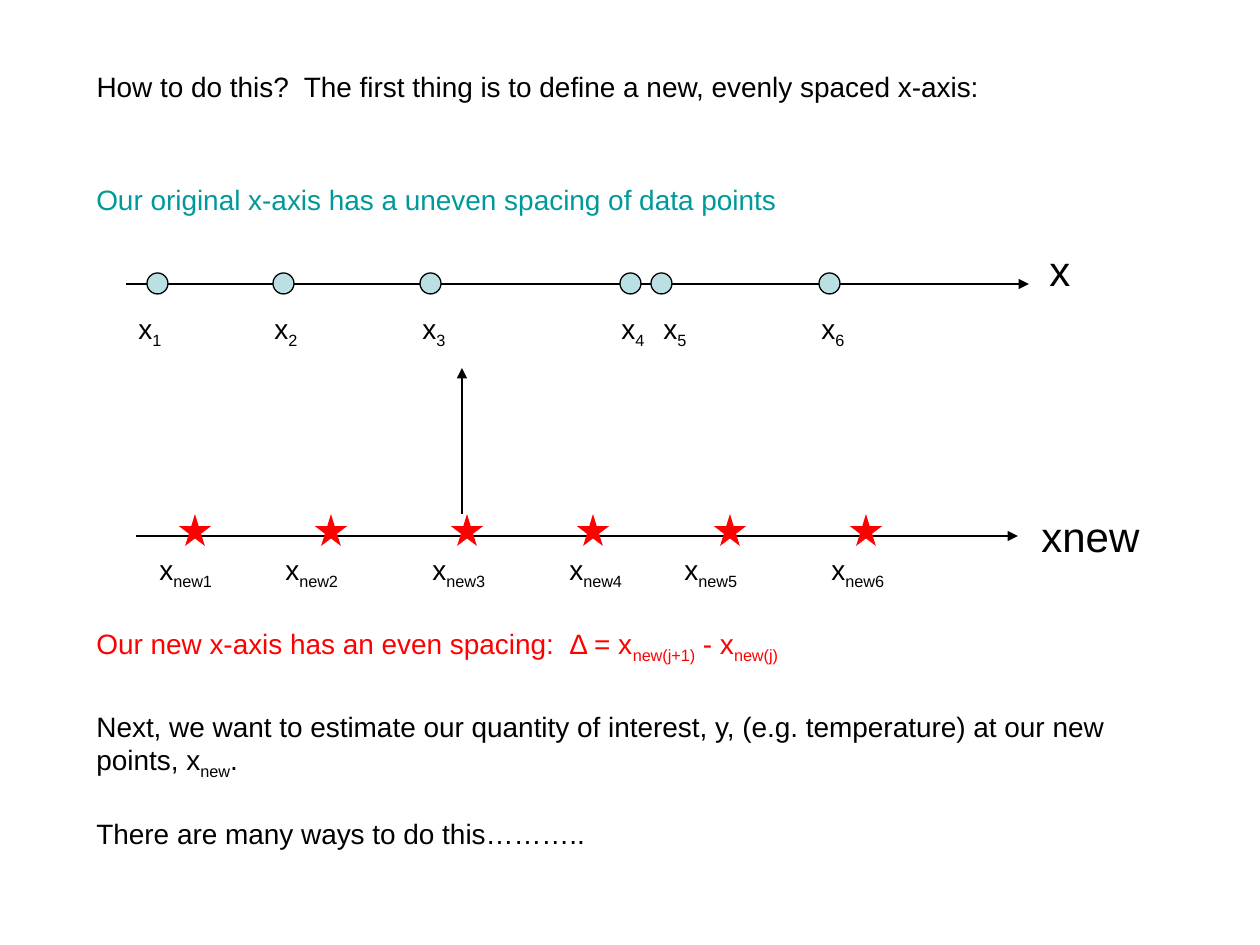
from pptx import Presentation
from pptx.dml.color import RGBColor
from pptx.enum.shapes import MSO_CONNECTOR, MSO_SHAPE
from pptx.enum.text import MSO_ANCHOR, MSO_AUTO_SIZE, PP_ALIGN
from pptx.oxml.ns import qn
from pptx.util import Emu, Pt
from lxml import etree

LINE = MSO_CONNECTOR.STRAIGHT
DOT, STAR = MSO_SHAPE.OVAL, MSO_SHAPE.STAR_5_POINT
TOP, LEFT, FIT = MSO_ANCHOR.TOP, PP_ALIGN.LEFT, MSO_AUTO_SIZE.SHAPE_TO_FIT_TEXT
SCALE = 914400 / 126
BLACK, RED, TEAL, PALE = "000000", "FF0000", "009999", "BBE0E3"

# Content: text between bars is subscript; boxes are left, top, width, height
TITLE = "How to do this?  The first thing is to define a new, evenly spaced x-axis:"
TITLE_BOX = (84, 63, 1103, 47)
NOTES = [  # paragraphs, box, size, colour, wrap
    (["Our original x-axis has a uneven spacing of data points"],
     (84, 176, 707, 47), 16, TEAL, False),
    (["x"], (1037, 238, 47, 63), 24, BLACK, False),
    (["xnew"], (1029, 504, 123, 63), 24, BLACK, False),
    (["Our new x-axis has an even spacing:  Δ = x|new(j+1)| - x|new(j)|"],
     (84, 620, 1050, 47), 16, RED, True),
    (["Next, we want to estimate our quantity of interest, y, (e.g. temperature) "
      "at our new points, x|new|.",
      "There are many ways to do this……….."],
     (84, 703, 1050, 147), 16, BLACK, True),
]
ARROWS = [(126, 284, 1029, 284), (136, 536, 1018, 536), (462, 514, 462, 368)]
ROWS = [
    dict(kind=DOT, size=21, top=273, fill=PALE, edge=BLACK,
         marks=[147, 273, 420, 620, 651, 819],
         name="x|{}|", tags=[126, 262, 410, 609, 651, 809], low=305, wide=50),
    dict(kind=STAR, size=32, top=514, fill=RED, edge=None,
         marks=[179, 315, 451, 577, 714, 850],
         name="x|new{}|", tags=[147, 273, 420, 557, 672, 819], low=546, wide=85),
]


def px(*nums):
    return [Emu(round(n * SCALE)) for n in nums]


def color(code):
    return RGBColor.from_string(code)


def write(frame, paras, size, code, wrap):
    frame.word_wrap = wrap
    frame.auto_size = FIT
    frame.vertical_anchor = TOP
    for i, text in enumerate(paras):
        para = frame.add_paragraph() if i else frame.paragraphs[0]
        para.alignment = LEFT
        if i:
            para.space_before = Pt(20)
        font = para.font
        font.name, font.size = "Arial", Pt(size)
        font.color.rgb = color(code)
        for j, part in enumerate(text.split("|")):
            if part:
                run = para.add_run()
                run.text = part
                if j % 2:
                    run.font._element.set("baseline", "-25000")


def note(paras, box, size, code, wrap):
    write(slide.shapes.add_textbox(*px(*box)).text_frame, paras, size, code, wrap)


def arrow(ends):
    line = slide.shapes.add_connector(LINE, *px(*ends))
    line.line.color.rgb = color(BLACK)
    line.line.width = Pt(0.75)
    props = line._element.spPr
    etree.SubElement(props.find(qn("a:ln")), qn("a:tailEnd"), type="triangle")
    etree.SubElement(props, qn("a:effectLst"))


def mark(kind, left, top, size, fill, edge):
    shape = slide.shapes.add_shape(kind, *px(left, top, size, size))
    shape.shadow.inherit = False
    shape.fill.solid()
    shape.fill.fore_color.rgb = color(fill)
    if edge:
        shape.line.color.rgb = color(edge)
        shape.line.width = Pt(0.75)
    else:
        shape.line.fill.background()


# Slide and title
deck = Presentation()
deck.slide_width, deck.slide_height = px(1260, 945)
slide = deck.slides.add_slide(deck.slide_layouts[5])
title = slide.shapes.title
title.left, title.top, title.width, title.height = px(*TITLE_BOX)
write(title.text_frame, [TITLE], 16, BLACK, True)

# Axes, points and their names
for ends in ARROWS:
    arrow(ends)
for row in ROWS:
    for i, (left, tag) in enumerate(zip(row["marks"], row["tags"]), 1):
        mark(row["kind"], left, row["top"], row["size"], row["fill"], row["edge"])
        note([row["name"].format(i)], (tag, row["low"], row["wide"], 47),
             16, BLACK, False)

# Notes
for item in NOTES:
    note(*item)

deck.save("out.pptx")
